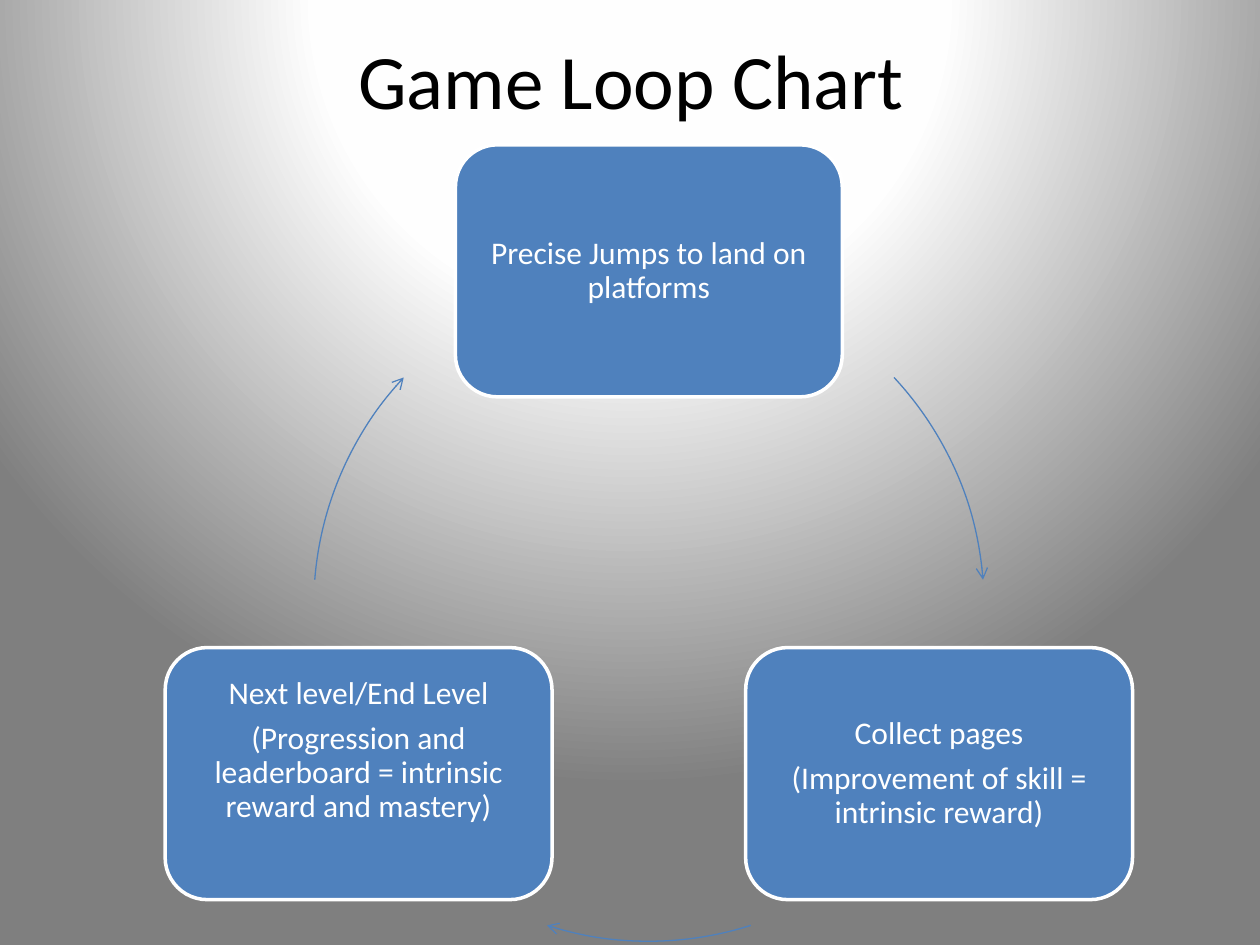
import math
from dataclasses import dataclass

from pptx import Presentation
from pptx import util as u
from pptx.dml.color import RGBColor
from pptx.enum import shapes, text
from pptx.oxml import parse_xml
from pptx.oxml.ns import nsdecls


@dataclass(frozen=True)
class Theme:
    font: str = "Calibri"
    title_size: float = 44
    body_size: float = 18
    black: str = "000000"
    white: str = "FFFFFF"
    blue: str = "4F81BD"
    # Background stops: percent along the gradient, colour
    backdrop: tuple = ((0, "FFFFFF"), (40, "FEFEFE"), (100, "7F7F7F"))


class LoopSlide:
    def __init__(self, deck, theme):
        self.theme = theme
        self.page = deck.slides.add_slide(deck.slide_layouts[5])

    def background(self):
        stops = "".join(
            f'<a:gs pos="{percent * 1000}"><a:srgbClr val="{colour}"/></a:gs>'
            for percent, colour in self.theme.backdrop)
        self.page.element.cSld.insert(0, parse_xml(
            f'<p:bg {nsdecls("p", "a")}><p:bgPr><a:gradFill rotWithShape="1">'
            f'<a:gsLst>{stops}</a:gsLst><a:path path="circle">'
            '<a:fillToRect l="50000" t="-80000" r="50000" b="180000"/>'
            '</a:path></a:gradFill><a:effectLst/></p:bgPr></p:bg>'))

    def centered_span(self, para, words, size, colour):
        para.alignment = text.PP_ALIGN.CENTER
        span = para.add_run()
        span.text = words
        span.font.name = self.theme.font
        span.font.size = u.Pt(size)
        span.font.color.rgb = RGBColor.from_string(colour)

    def title(self, words):
        box = self.page.shapes.title
        box.left, box.top = u.Inches(0.51), u.Inches(0)
        box.width, box.height = u.Inches(9), u.Inches(1.25)
        frame = box.text_frame
        frame.vertical_anchor = text.MSO_ANCHOR.MIDDLE
        self.centered_span(frame.paragraphs[0], words,
                           self.theme.title_size, self.theme.black)

    def shape(self, kind, center, width, height, line_colour, line_width):
        x, y = center
        shape = self.page.shapes.add_shape(
            kind, u.Inches(x - width / 2), u.Inches(y - height / 2),
            u.Inches(width), u.Inches(height))
        shape.shadow.inherit = False
        shape.line.color.rgb = RGBColor.from_string(line_colour)
        shape.line.width = u.Pt(line_width)
        return shape

    def node(self, center, lines, bottom):
        box = self.shape(shapes.MSO_SHAPE.ROUNDED_RECTANGLE, center, 3.07, 2,
                         self.theme.white, 2)
        box.fill.solid()
        box.fill.fore_color.rgb = RGBColor.from_string(self.theme.blue)
        frame = box.text_frame
        frame.word_wrap = True
        frame.vertical_anchor = text.MSO_ANCHOR.MIDDLE
        frame.margin_left = frame.margin_right = frame.margin_top = u.Inches(0.07)
        frame.margin_bottom = u.Inches(bottom)
        for index, words in enumerate(lines):
            para = frame.add_paragraph() if index else frame.paragraphs[0]
            para.line_spacing = 0.9
            para.space_after = u.Pt(6.3)
            self.centered_span(para, words, self.theme.body_size, self.theme.white)

    def arrow(self, center, radius, start, end):
        arc = self.shape(shapes.MSO_SHAPE.ARC, center, 2 * radius, 2 * radius,
                         self.theme.blue, 0.75)
        arc.fill.background()
        # Adjustments count 100000 per unit, angles 60000 per degree
        for index, angle in enumerate((start, end)):
            arc.adjustments[index] = angle * 0.6
        arc.element.spPr.get_or_add_ln().append(
            parse_xml(f'<a:tailEnd {nsdecls("a")} type="arrow"/>'))


def main():
    deck = Presentation()
    deck.slide_width, deck.slide_height = u.Inches(10), u.Inches(7.5)
    slide = LoopSlide(deck, Theme())
    slide.background()
    slide.title("Game Loop Chart")

    # Steps of the loop: lines, bottom inset, start and end angle of the arrow
    steps = [
        (["Precise Jumps to land on platforms"], 0.07, 317, 355.5),
        (["Collect pages", "(Improvement of skill = intrinsic reward)"],
         0.07, 72.3, 107.7),
        (["Next level/End Level",
          "(Progression and leaderboard = intrinsic reward and mastery)"],
         0.43, 184.5, 223),
    ]
    hub, radius = (5.15, 4.81), 2.66
    for index, (lines, bottom, start, end) in enumerate(steps):
        turn = math.radians(-90 + index * 360 / len(steps))
        spot = (hub[0] + radius * math.cos(turn), hub[1] + radius * math.sin(turn))
        slide.node(spot, lines, bottom)
        slide.arrow(hub, radius, start, end)

    deck.save("out.pptx")


if __name__ == "__main__":
    main()
